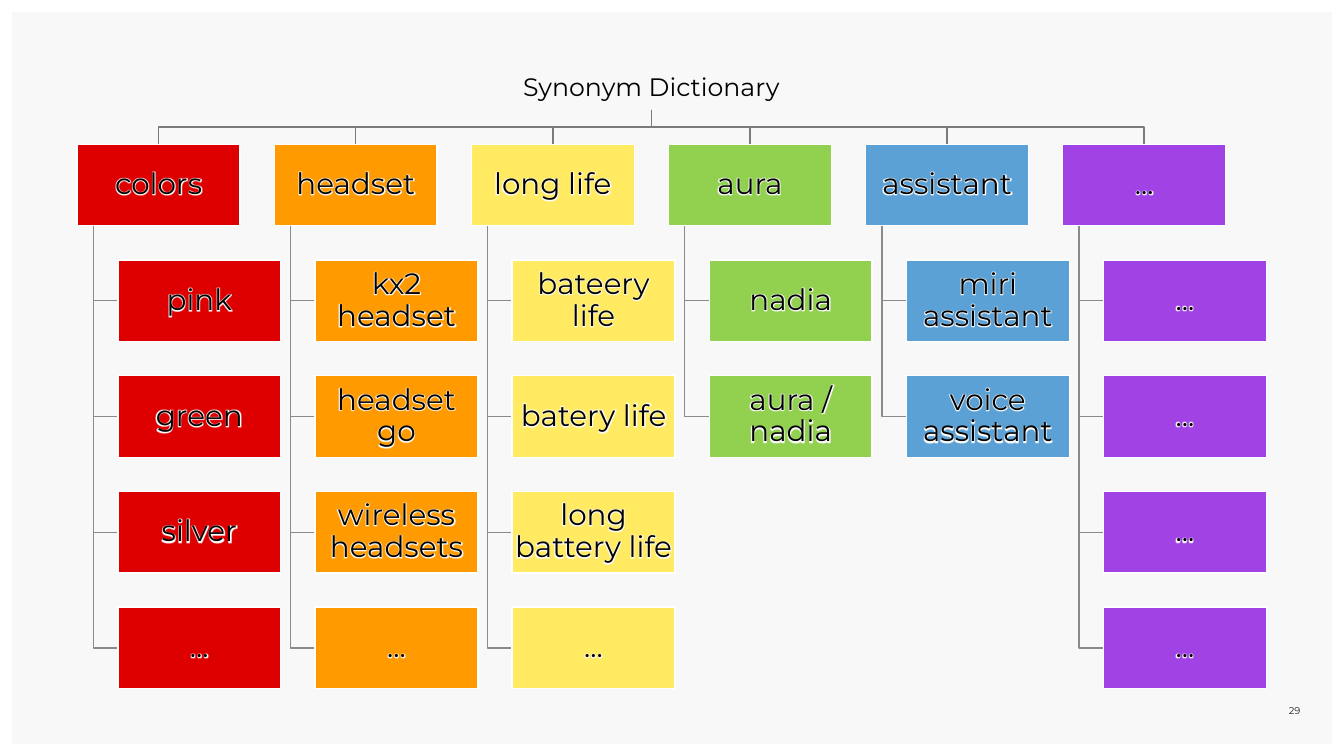
from lxml import etree
from pptx import Presentation
from pptx.dml.color import RGBColor
from pptx.enum.shapes import MSO_SHAPE
from pptx.enum.text import MSO_ANCHOR, MSO_AUTO_SIZE, PP_ALIGN
from pptx.oxml.ns import qn
from pptx.util import Pt

RECTANGLE = MSO_SHAPE.RECTANGLE
MIDDLE = MSO_ANCHOR.MIDDLE
NO_AUTOFIT = MSO_AUTO_SIZE.NONE
CENTER, RIGHT = PP_ALIGN.CENTER, PP_ALIGN.RIGHT

HEADING = "Synonym Dictionary"
PAGE_NUMBER = "29"
TERMS = [
    ("colors", "red", ["pink", "green", "silver", "..."]),
    ("headset", "orange", ["kx2 headset", "headset go", "wireless headsets", "..."]),
    ("long life", "yellow", ["bateery life", "batery life", "long battery life", "..."]),
    ("aura", "green", ["nadia", "aura / nadia"]),
    ("assistant", "blue", ["miri assistant", "voice assistant"]),
    ("...", "purple", ["...", "...", "...", "..."]),
]

COLORS = {
    "panel": "F8F8F8", "text": "000000", "number": "202020", "white": "FFFFFF",
    "bus": "7B7B7B", "branch": "8B8B8B",
    "red": "DE0000", "orange": "FF9B00", "yellow": "FFEA61",
    "green": "92D050", "blue": "5BA1D5", "purple": "A042E4",
}
FONT = "Montserrat"
GLOW_RADIUS = Pt(3)

SLIDE_W, SLIDE_H = 960, 540
PANEL_MARGIN = 8.65
BOX_W, BOX_H = 116.4, 58.2
LEFT, TOP = 55.1, 103.1
COLUMN_STEP, ROW_STEP = 140.8, 82.65
INDENT = BOX_W / 4
TRUNK_INSET = BOX_W / 10
HEADING_W, HEADING_H, HEADING_TOP = 242, 30.3, 48.2
CHART_CENTER = LEFT + (COLUMN_STEP * (len(TERMS) - 1) + BOX_W) / 2
HEADING_BOTTOM = HEADING_TOP + HEADING_H
BUS_Y = (HEADING_BOTTOM + TOP) / 2


def color(key):
    return RGBColor.from_string(COLORS[key])


def put_text(shape, text, size, text_color="text", align=CENTER, inset=0.72):
    frame = shape.text_frame
    frame.text = text
    margins = {f"margin_{side}": Pt(inset) for side in ("left", "top", "right", "bottom")}
    frame_format = {"word_wrap": True, "auto_size": NO_AUTOFIT, "vertical_anchor": MIDDLE}
    for name, value in {**margins, **frame_format}.items():
        setattr(frame, name, value)
    paragraph = frame.paragraphs[0]
    paragraph.alignment = align
    paragraph.line_spacing = 0.9
    font = paragraph.runs[0].font
    for name, value in {"name": FONT, "size": Pt(size), "bold": False}.items():
        setattr(font, name, value)
    font.color.rgb = color(text_color)


def add_glow(shape):
    fill = shape.text_frame.paragraphs[0].runs[0].font.color
    run = shape.text_frame.paragraphs[0].runs[0]
    properties = run.font.fill and shape.element.find(".//" + qn("a:rPr"))
    effects = etree.Element(qn("a:effectLst"))
    glow = etree.SubElement(effects, qn("a:glow"), rad=str(GLOW_RADIUS))
    etree.SubElement(glow, qn("a:srgbClr"), val=str(color("white")))
    properties.find(qn("a:solidFill")).addnext(effects)


def add_rectangle(left, top, width, height, fill):
    box = slide.shapes.add_shape(RECTANGLE, Pt(left), Pt(top), Pt(width), Pt(height))
    box.shadow.inherit = False
    box.fill.solid()
    box.fill.fore_color.rgb = color(fill)
    return box


def add_term(left, top, text, fill):
    box = add_rectangle(left, top, BOX_W, BOX_H, fill)
    box.line.color.rgb = color("white")
    box.line.width = Pt(1)
    put_text(box, text, 21)
    add_glow(box)


def add_path(points, line_color):
    start, *rest = [(Pt(x), Pt(y)) for x, y in points]
    builder = slide.shapes.build_freeform(*start)
    builder.add_line_segments(rest, close=False)
    path_line = builder.convert_to_shape()
    path_line.shadow.inherit = False
    path_line.fill.background()
    path_line.line.color.rgb = color(line_color)
    path_line.line.width = Pt(1)


prs = Presentation()
prs.slide_width, prs.slide_height = Pt(SLIDE_W), Pt(SLIDE_H)
slide = prs.slides.add_slide(prs.slide_layouts[5])

panel = add_rectangle(PANEL_MARGIN, PANEL_MARGIN, SLIDE_W - 2 * PANEL_MARGIN,
                      SLIDE_H - 2 * PANEL_MARGIN, "panel")
panel.line.fill.background()
slide.shapes.element.insert(2, panel.element)

heading = slide.shapes.title
heading_place = {"left": CHART_CENTER - HEADING_W / 2, "top": HEADING_TOP,
                 "width": HEADING_W, "height": HEADING_H}
for name, value in heading_place.items():
    setattr(heading, name, Pt(value))
put_text(heading, HEADING, 18)

for column, (term, fill, synonyms) in enumerate(TERMS):
    left = LEFT + column * COLUMN_STEP
    center = left + BOX_W / 2
    add_path([(CHART_CENTER, HEADING_BOTTOM), (CHART_CENTER, BUS_Y),
              (center, BUS_Y), (center, TOP)], "bus")
    trunk = left + TRUNK_INSET
    for row, synonym in enumerate(synonyms, start=1):
        top = TOP + row * ROW_STEP
        middle = top + BOX_H / 2
        add_path([(trunk, TOP + BOX_H), (trunk, middle), (left + INDENT, middle)], "branch")
        add_term(left + INDENT, top, synonym, fill)
    add_term(left, TOP, term, fill)

page_number = slide.shapes.add_textbox(Pt(908), Pt(502.6), Pt(20.9), Pt(10.8))
put_text(page_number, PAGE_NUMBER, 7, "number", RIGHT, 0)

prs.save("out.pptx")
